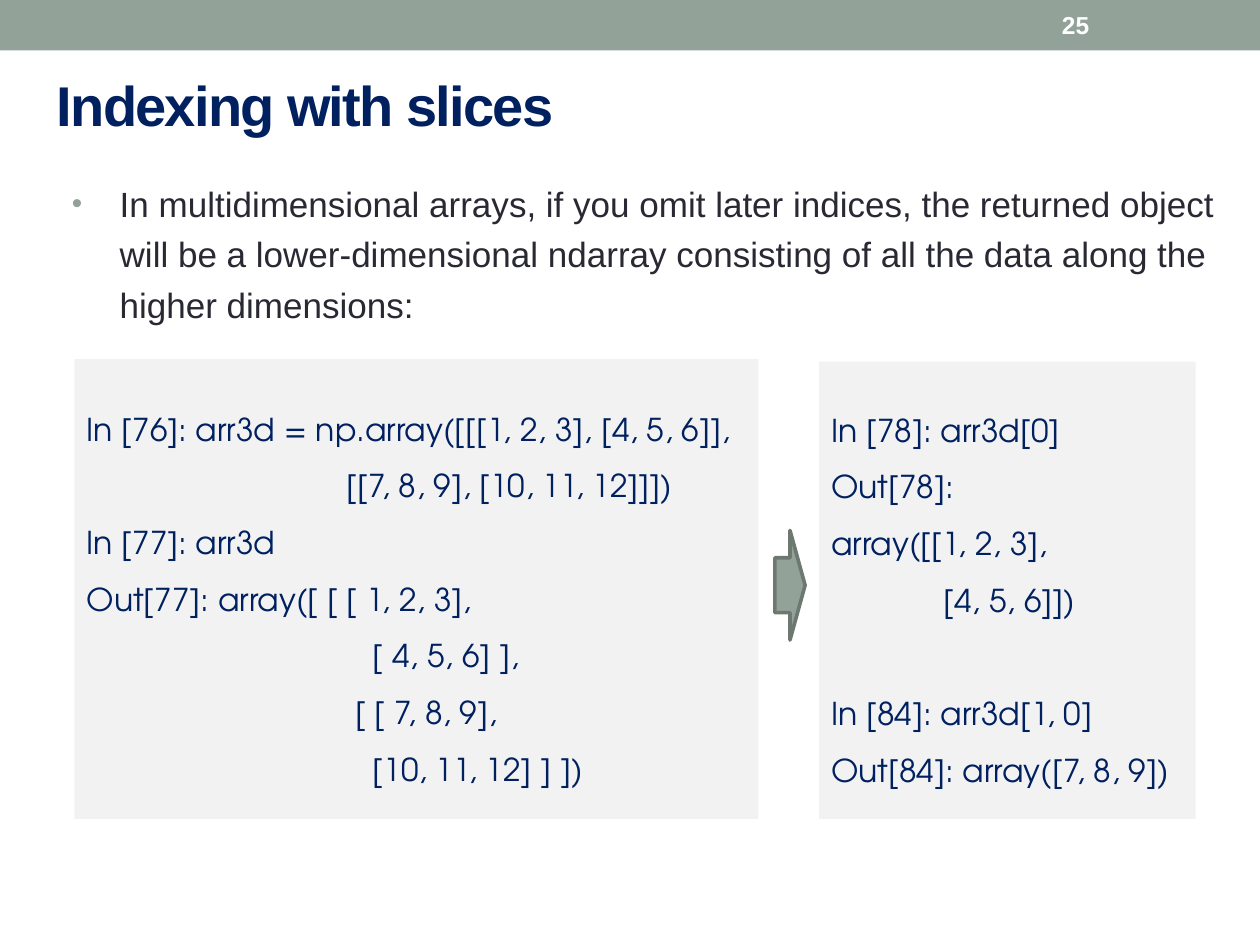
"""Build a slide on indexing multidimensional arrays with slices."""
from lxml import etree
from pptx import Presentation
from pptx.dml.color import RGBColor
from pptx.enum.shapes import MSO_SHAPE
from pptx.enum.text import MSO_ANCHOR, MSO_AUTO_SIZE, PP_ALIGN
from pptx.oxml.ns import qn
from pptx.util import Inches, Pt

RECTANGLE, RIGHT_ARROW = MSO_SHAPE.RECTANGLE, MSO_SHAPE.RIGHT_ARROW
TOP, MIDDLE = MSO_ANCHOR.TOP, MSO_ANCHOR.MIDDLE
LEFT = PP_ALIGN.LEFT
NO_FIT = MSO_AUTO_SIZE.NONE

COLORS = {
    "sage": "93A299",
    "sage_dark": "6D7871",
    "navy": "002060",
    "ink": "292934",
    "panel": "F2F2F2",
    "white": "FFFFFF",
}
TITLE_FONT = {"name": "Arial", "size": Pt(32), "bold": True}
BODY_FONT = {"name": "Arial", "size": Pt(20)}
NUMBER_FONT = {"name": "Arial", "size": Pt(14), "bold": True}
CODE_FONT = {"name": "TeX Gyre Adventor", "size": Pt(18)}

BODY_TEXT = (
    "In multidimensional arrays, if you omit later indices, the returned object "
    "will be a lower-dimensional ndarray consisting of all the data along the "
    "higher dimensions:"
)
ARRAY_CODE = [
    ("In [76]: arr3d = np.array([[[1, 2, 3], [4, 5, 6]],", 0, 0),
    ("[[7, 8, 9], [10, 11, 12]]])", 2.06, 0),
    ("In [77]: arr3d", 0, 0),
    ("Out[77]: array([ [ [ 1, 2, 3],", 0, 0),
    ("[ 4, 5, 6] ],", 2.27, 0),
    ("[ [ 7, 8, 9],", 2.13, 0),
    ("[10, 11, 12] ] ])", 2.27, 0),
]
INDEX_CODE = [
    ("In [78]: arr3d[0]", 0, 0),
    ("Out[78]:", 0, 0),
    ("array([[1, 2, 3],", 0, 0),
    ("[4, 5, 6]])", 0.89, 0),
    ("In [84]: arr3d[1, 0]", 0, 32.4),
    ("Out[84]: array([7, 8, 9])", 0, 0),
]


def color(name):
    """Return the named colour."""
    return RGBColor.from_string(COLORS[name])


def place(shape, box):
    """Move and size a shape to a box in inches."""
    for name, value in zip(("left", "top", "width", "height"), box):
        setattr(shape, name, Inches(value))


def set_frame(shape, anchor):
    """Prepare a text frame and return it."""
    frame = shape.text_frame
    values = {"word_wrap": True, "auto_size": NO_FIT, "vertical_anchor": anchor}
    for name, value in values.items():
        setattr(frame, name, value)
    return frame


def write(para, text, font, color_name, **layout):
    """Fill a paragraph with one formatted span and return the span."""
    span = para.add_run()
    span.text = text
    for name, value in font.items():
        setattr(span.font, name, value)
    span.font.color.rgb = color(color_name)
    for name, value in {"alignment": LEFT, **layout}.items():
        setattr(para, name, value)
    return span


def set_indent(para, left, first=0):
    """Set the left margin and first-line indent in inches."""
    properties = para._p.get_or_add_pPr()
    properties.set("marL", str(Inches(left)))
    properties.set("indent", str(Inches(first)))
    return properties


def add_bullet(para, color_name, percent):
    """Give a paragraph a hanging coloured bullet."""
    properties = set_indent(para, 0.38, -0.38)
    tint = etree.SubElement(properties, qn("a:buClr"))
    etree.SubElement(tint, qn("a:srgbClr"), val=COLORS[color_name])
    etree.SubElement(properties, qn("a:buSzPct"), val=str(percent * 1000))
    etree.SubElement(properties, qn("a:buChar"), char="•")


def add_block(page, kind, box, fill, line=None):
    """Add a flat filled shape, outlined if a line colour is given."""
    shape = page.shapes.add_shape(kind, *map(Inches, box))
    shape.shadow.inherit = False
    shape.fill.solid()
    shape.fill.fore_color.rgb = color(fill)
    if line:
        shape.line.color.rgb = color(line)
        shape.line.width = Pt(2.08)
    else:
        shape.line.fill.background()
    return shape


def add_code(page, box, lines):
    """Add a panel of code lines given as text, indent and space before."""
    frame = set_frame(add_block(page, RECTANGLE, box, "panel"), MIDDLE)
    for index, (text, indent, gap) in enumerate(lines):
        para = frame.add_paragraph() if index else frame.paragraphs[0]
        write(para, text, CODE_FONT, "navy", line_spacing=1.5, space_before=Pt(gap))
        set_indent(para, indent)


def add_title(page):
    """Fill the title placeholder."""
    title = page.shapes.title
    place(title, (0.35, 0.36, 9.65, 0.94))
    para = set_frame(title, MIDDLE).paragraphs[0]
    span = write(para, "Indexing with slices", TITLE_FONT, "navy")
    span.font._element.set("spc", "-100")


def add_body(page):
    """Fill the body placeholder with its bullet."""
    body = page.placeholders[1]
    place(body, (0.47, 1.33, 9.33, 1.47))
    para = set_frame(body, TOP).paragraphs[0]
    write(para, BODY_TEXT, BODY_FONT, "ink", line_spacing=1.2, space_before=Pt(6))
    add_bullet(para, "sage", 85)


def add_number(page):
    """Add the page number on the top band."""
    box = page.shapes.add_textbox(*map(Inches, (8.33, 0.02, 1.17, 0.36)))
    write(set_frame(box, MIDDLE).paragraphs[0], "25", NUMBER_FONT, "white")


def main():
    """Build and save the deck."""
    deck = Presentation()
    deck.slide_width, deck.slide_height = Inches(10), Inches(7.5)
    page = deck.slides.add_slide(deck.slide_layouts[1])
    add_block(page, RECTANGLE, (0, 0, 10, 0.4), "sage")
    add_title(page)
    add_body(page)
    add_number(page)
    add_code(page, (0.59, 2.85, 5.43, 3.65), ARRAY_CODE)
    add_code(page, (6.5, 2.87, 2.99, 3.63), INDEX_CODE)
    add_block(page, RIGHT_ARROW, (6.15, 4.21, 0.24, 0.87), "sage", "sage_dark")
    deck.save("out.pptx")


if __name__ == "__main__":
    main()
